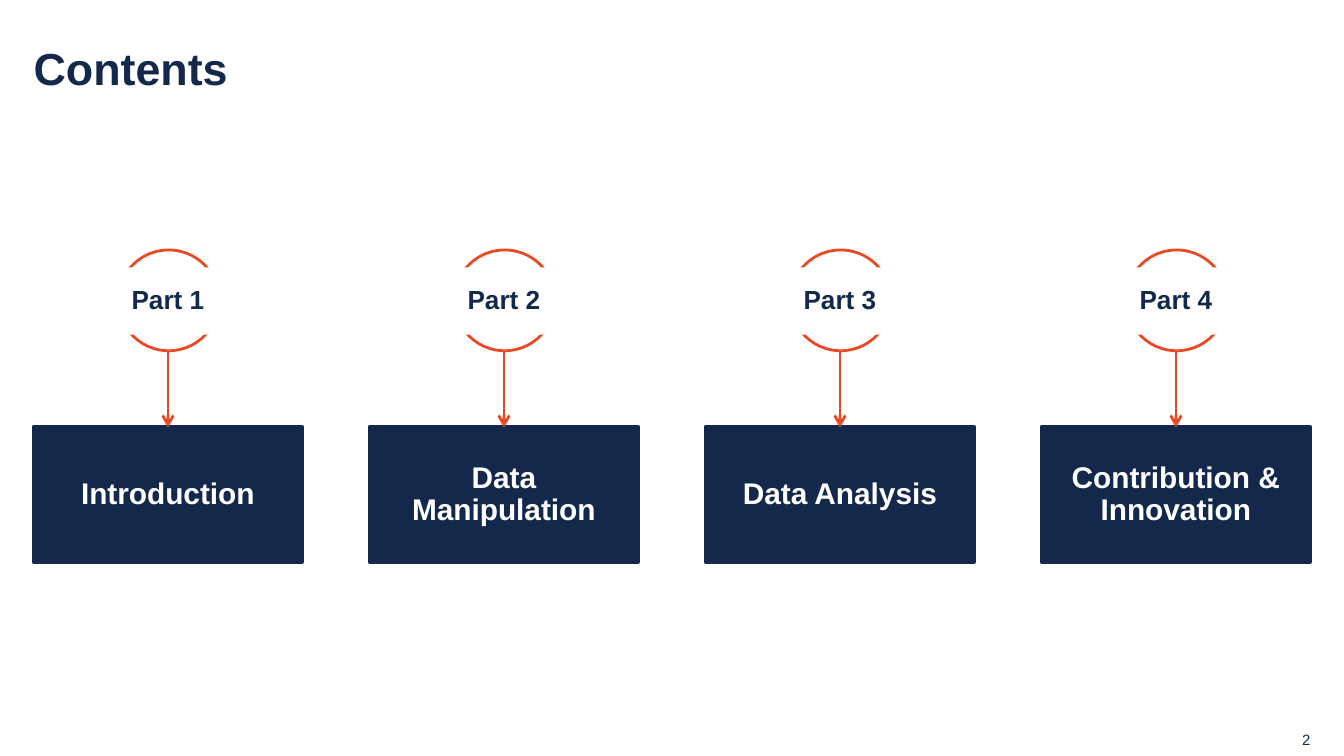
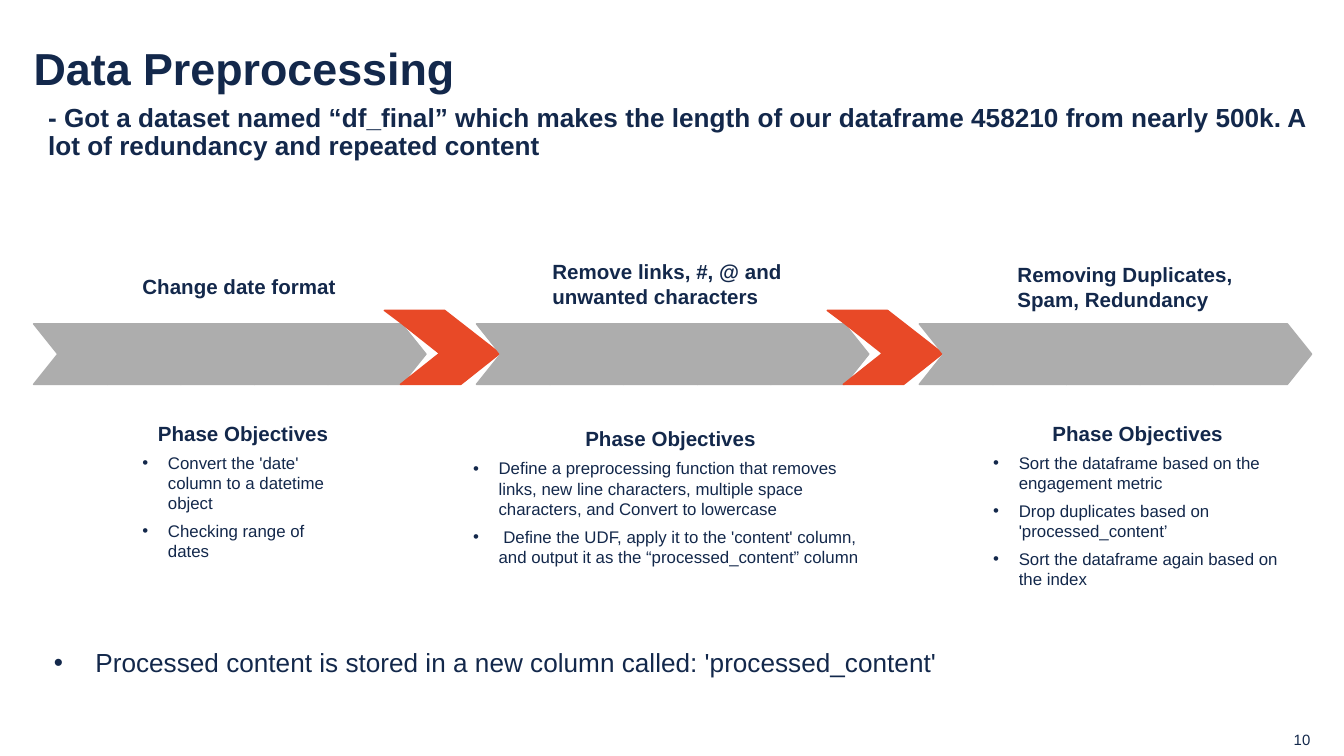
from dataclasses import dataclass

from lxml.etree import SubElement
from pptx import Presentation
from pptx.dml.color import RGBColor
from pptx.enum.shapes import MSO_CONNECTOR, MSO_SHAPE
from pptx.enum.text import MSO_ANCHOR, MSO_AUTO_SIZE, PP_ALIGN
from pptx.oxml.ns import qn
from pptx.util import Inches, Pt


@dataclass(frozen=True)
class Theme:
    font: str = "Arial"
    navy: RGBColor = RGBColor(0x13, 0x28, 0x4B)
    orange: RGBColor = RGBColor(0xE8, 0x49, 0x27)
    grey: RGBColor = RGBColor(0xAD, 0xAD, 0xAD)
    white: RGBColor = RGBColor(0xFF, 0xFF, 0xFF)
    title: int = 24
    box: int = 16
    lead: int = 14
    heading: int = 11
    bullet: int = 9
    page: int = 8


THEME = Theme()
TITLE_AND_CONTENT, TITLE_ONLY = 1, 5

PARTS = ["Introduction", "Data Manipulation", "Data Analysis",
         "Contribution & Innovation"]

# Each phase: label, label position, objectives position, objectives
PHASES = [
    ("Change date format", (1.06, 2.04, 1.5, 1), (1.06, 3.13, 1.5, 1),
     ["Convert the 'date' column to a datetime object",
      "Checking range of dates"]),
    ("Remove links, #, @ and unwanted characters",
     (4.11, 1.93, 2.03, 0.45), (3.52, 3.17, 2.94, 1),
     ["Define a preprocessing function that removes links, new line "
      "characters, multiple space characters, and Convert to lowercase",
      " Define the UDF, apply it to the 'content' column, and output it as "
      "the “processed_content” column"]),
    ("Removing Duplicates, Spam, Redundancy",
     (7.57, 1.95, 1.82, 0.45), (7.39, 3.13, 2.15, 1),
     ["Sort the dataframe based on the engagement metric",
      "Drop duplicates based on 'processed_content’",
      "Sort the dataframe again based on the index"]),
]

ARROW_OUTLINE = [(0, 0), (0.45, 0), (0.86, 0.32), (0.57, 0.55),
                 (0.12, 0.55), (0.41, 0.32), (0.12, 0.09)]


def place(sp, at):
    sp.left, sp.top, sp.width, sp.height = (Inches(v) for v in at)


def set_frame(tf, inset=0.0, anchor=MSO_ANCHOR.TOP):
    tf.word_wrap = True
    tf.auto_size = MSO_AUTO_SIZE.NONE
    tf.vertical_anchor = anchor
    tf.margin_left = tf.margin_right = Inches(inset)
    tf.margin_top = tf.margin_bottom = Inches(inset)


def write(p, text, size, bold=False, color=THEME.navy, align=PP_ALIGN.LEFT,
          spacing=1.0, before=0):
    p.text = text
    p.alignment = align
    p.line_spacing = spacing
    p.space_before = Pt(before)
    for r in p.runs:
        r.font.name = THEME.font
        r.font.size = Pt(size)
        r.font.bold = bold
        r.font.color.rgb = color


def add_bullet(p, indent):
    pPr = p._p.get_or_add_pPr()
    pPr.set("marL", str(Inches(indent)))
    pPr.set("indent", str(-Inches(indent)))
    SubElement(pPr, qn("a:buFont")).set("typeface", THEME.font)
    SubElement(pPr, qn("a:buChar")).set("char", "•")


def add_text(slide, at, text, size, inset=0.0, anchor=MSO_ANCHOR.TOP, **style):
    sp = slide.shapes.add_textbox(*(Inches(v) for v in at))
    set_frame(sp.text_frame, inset, anchor)
    write(sp.text_frame.paragraphs[0], text, size, **style)
    return sp


def paint(sp, fill=None, line=None, width=0.75):
    sp.shadow.inherit = False
    if fill is None:
        sp.fill.background()
    else:
        sp.fill.solid()
        sp.fill.fore_color.rgb = fill
    if line is None:
        sp.line.fill.background()
    else:
        sp.line.color.rgb = line
        sp.line.width = Pt(width)


def add_shape(shapes, kind, at, **look):
    sp = shapes.add_shape(kind, *(Inches(v) for v in at))
    paint(sp, **look)
    return sp


def add_label_box(slide, at, text, size, color, inset, **look):
    sp = add_shape(slide.shapes, MSO_SHAPE.RECTANGLE, at, **look)
    set_frame(sp.text_frame, inset, MSO_ANCHOR.MIDDLE)
    write(sp.text_frame.paragraphs[0], text, size, bold=True, color=color,
          align=PP_ALIGN.CENTER, spacing=0.9)
    return sp


def add_down_arrow(slide, x, top, target):
    """Draw an arrow from (x, top) to the middle of the target's top side."""
    line = slide.shapes.add_connector(
        MSO_CONNECTOR.STRAIGHT, Inches(x), Inches(top), Inches(x), target.top)
    line.end_connect(target, 0)
    line.line.color.rgb = THEME.orange
    line.line.width = Pt(1.5)
    SubElement(line.line._get_or_add_ln(), qn("a:tailEnd")).set("type", "arrow")
    SubElement(line._element.spPr, qn("a:effectLst"))


def add_slide(prs, layout, title, page):
    slide = prs.slides.add_slide(prs.slide_layouts[layout])
    sp = slide.shapes.title
    place(sp, (0.25, 0.23, 8.4, 0.6))
    set_frame(sp.text_frame, anchor=MSO_ANCHOR.MIDDLE)
    sp.text_frame.margin_right = Inches(1.2)
    write(sp.text_frame.paragraphs[0], title, THEME.title, bold=True,
          spacing=0.9)
    add_text(slide, (7.5, 5.4, 2.25, 0.2), page, THEME.page,
             anchor=MSO_ANCHOR.MIDDLE, align=PP_ALIGN.RIGHT)
    return slide


def add_part(slide, number, name):
    left = 0.25 + 2.5 * (number - 1)
    center = left + 1
    box = add_label_box(slide, (left, 3.18, 2, 1), name, THEME.box,
                        THEME.white, 0.1, fill=THEME.navy, line=THEME.navy,
                        width=2)
    add_shape(slide.shapes, MSO_SHAPE.OVAL, (center - 0.37, 1.86, 0.75, 0.75),
              line=THEME.orange, width=1.5)
    add_label_box(slide, (center - 0.75, 1.99, 1.5, 0.5), f"Part {number}",
                  THEME.lead, THEME.navy, 0.02, fill=THEME.white)
    add_down_arrow(slide, center, 2.61, box)


def add_turn_arrow(shapes, left, top):
    points = [(Inches(left + x), Inches(top + y)) for x, y in ARROW_OUTLINE]
    builder = shapes.build_freeform(*points[0])
    builder.add_line_segments(points[1:], close=True)
    paint(builder.convert_to_shape(), fill=THEME.orange, line=THEME.orange)


def add_process_bar(slide):
    """Draw three rows of five chevrons with an arrow between the rows."""
    shapes = slide.shapes.add_group_shape().shapes
    pitch, step = 6.59 / 2, 2.19 / 4
    for phase in range(len(PHASES)):
        left = 0.25 + pitch * phase
        for i in range(5):
            sp = add_shape(shapes, MSO_SHAPE.CHEVRON,
                           (left + step * i, 2.41, 0.73, 0.45),
                           fill=THEME.grey, line=THEME.grey)
            sp.adjustments[0] = 0.4
        if phase < len(PHASES) - 1:
            add_turn_arrow(shapes, left + 2.61, 2.31)


def add_objectives(slide, at, items):
    sp = add_text(slide, at, "Phase Objectives", THEME.heading, bold=True,
                  align=PP_ALIGN.CENTER)
    for item in items:
        p = sp.text_frame.add_paragraph()
        add_bullet(p, 0.19)
        write(p, item, THEME.bullet, before=4)


def build_contents(prs):
    slide = add_slide(prs, TITLE_ONLY, "Contents", "2")
    for number, name in enumerate(PARTS, 1):
        add_part(slide, number, name)


def build_preprocessing(prs):
    slide = add_slide(prs, TITLE_AND_CONTENT, "Data Preprocessing", "10")
    add_process_bar(slide)
    for label, label_at, objectives_at, items in PHASES:
        add_text(slide, label_at, label, THEME.heading, bold=True)
        add_objectives(slide, objectives_at, items)
    add_text(slide, (0.26, 0.68, 9.69, 0.5),
             "- Got a dataset named “df_final” which makes the length of our "
             "dataframe 458210 from nearly 500k. A lot of redundancy and "
             "repeated content",
             THEME.lead, inset=0.1, bold=True, spacing=0.9)
    body = slide.placeholders[1]
    place(body, (0.3, 4.71, 8.76, 0.5))
    set_frame(body.text_frame, 0.1)
    p = body.text_frame.paragraphs[0]
    add_bullet(p, 0.31)
    write(p, "Processed content is stored in a new column called: "
          "'processed_content'", THEME.lead)


def main():
    prs = Presentation()
    prs.slide_width = Inches(10)
    prs.slide_height = prs.slide_width * 9 // 16
    build_contents(prs)
    build_preprocessing(prs)
    prs.save("out.pptx")


if __name__ == "__main__":
    main()
